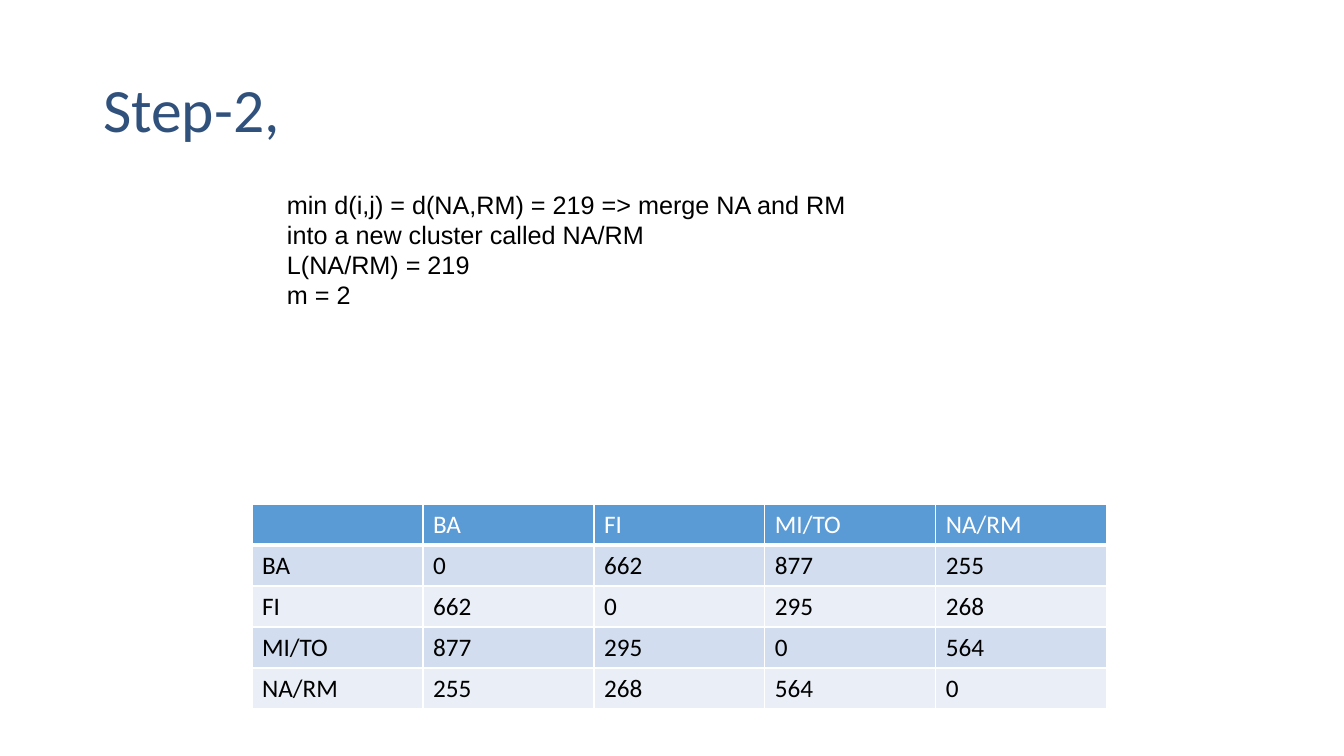
from dataclasses import dataclass

from lxml.etree import SubElement
from pptx import Presentation
from pptx.dml.color import RGBColor
from pptx.enum.text import MSO_ANCHOR, PP_ALIGN
from pptx.oxml.ns import qn
from pptx.util import Pt

# Content
HEADING = "Step-2,"
MERGE_LINES = [
    "min d(i,j) = d(NA,RM) = 219 => merge NA and RM into a new cluster called NA/RM",
    "L(NA/RM) = 219",
    "m = 2",
]
CLUSTERS = ["BA", "FI", "MI/TO", "NA/RM"]
DISTANCES = [
    [0, 662, 877, 255],
    [662, 0, 295, 268],
    [877, 295, 0, 564],
    [255, 268, 564, 0],
]

# Layout in px: left, top, width, height
SLIDE_SIZE = (1344, 756)
HEADING_BOX = (93, 40, 1159, 146)
MERGE_BOX = (277, 184, 605, 163)
MATRIX_ORIGIN = (252, 504)
COLUMN_WIDTH, ROW_HEIGHT = 171, 41
EMU_PER_PX = 914400 / 100.8


@dataclass(frozen=True)
class Theme:
    heading: str = "31517D"
    ink: str = "000000"
    white: str = "FFFFFF"
    header: str = "5B9BD5"
    bands: tuple = ("D2DEEF", "EAEFF7")
    heading_font: str = "Calibri"
    merge_font: str = "Arial"
    heading_size: int = 44
    text_size: int = 18


THEME = Theme()


def emu(*lengths):
    return [round(length * EMU_PER_PX) for length in lengths]


def add_text(paragraph, text, font, size, color):
    run = paragraph.add_run()
    run.text = text
    run.font.name = font
    run.font.size = Pt(size)
    run.font.bold = False
    run.font.color.rgb = RGBColor.from_string(color)


def add_borders(cell, bottom_width):
    """Borders go in before the fill, as the schema orders them."""
    properties = cell._tc.get_or_add_tcPr()
    for side, width in (("L", 1), ("R", 1), ("T", 1), ("B", bottom_width)):
        border = SubElement(properties, qn(f"a:ln{side}"), w=str(Pt(width)))
        paint = SubElement(border, qn("a:solidFill"))
        SubElement(paint, qn("a:srgbClr"), val=THEME.white)


def add_heading(slide):
    heading = slide.shapes.title
    heading.left, heading.top, heading.width, heading.height = emu(*HEADING_BOX)
    heading.text_frame.vertical_anchor = MSO_ANCHOR.MIDDLE
    paragraph = heading.text_frame.paragraphs[0]
    paragraph.alignment = PP_ALIGN.LEFT
    paragraph.line_spacing = 0.9
    add_text(paragraph, HEADING, THEME.heading_font, THEME.heading_size, THEME.heading)


def add_merge_note(slide):
    note = slide.shapes.add_textbox(*emu(*MERGE_BOX)).text_frame
    note.word_wrap = True
    paragraph = note.paragraphs[0]
    for index, line in enumerate(MERGE_LINES):
        if index:
            paragraph.add_line_break()
        add_text(paragraph, line, THEME.merge_font, THEME.text_size, THEME.ink)


def add_distance_matrix(slide):
    rows = [["", *CLUSTERS]]
    rows += [[name, *values] for name, values in zip(CLUSTERS, DISTANCES)]
    row_count, column_count = len(rows), len(rows[0])
    size = (column_count * COLUMN_WIDTH, row_count * ROW_HEIGHT)
    matrix = slide.shapes.add_table(
        row_count, column_count, *emu(*MATRIX_ORIGIN, *size)
    ).table

    for row_index, row in enumerate(rows):
        is_header = row_index == 0
        fill = THEME.header if is_header else THEME.bands[(row_index - 1) % 2]
        color = THEME.white if is_header else THEME.ink
        for column_index, value in enumerate(row):
            cell = matrix.cell(row_index, column_index)
            add_borders(cell, 3 if is_header else 1)
            cell.fill.solid()
            cell.fill.fore_color.rgb = RGBColor.from_string(fill)
            if value != "":
                add_text(cell.text_frame.paragraphs[0], str(value),
                         THEME.heading_font, THEME.text_size, color)


def main():
    presentation = Presentation()
    presentation.slide_width, presentation.slide_height = emu(*SLIDE_SIZE)
    slide = presentation.slides.add_slide(presentation.slide_layouts[5])
    add_heading(slide)
    add_distance_matrix(slide)
    add_merge_note(slide)
    presentation.save("out.pptx")


if __name__ == "__main__":
    main()
